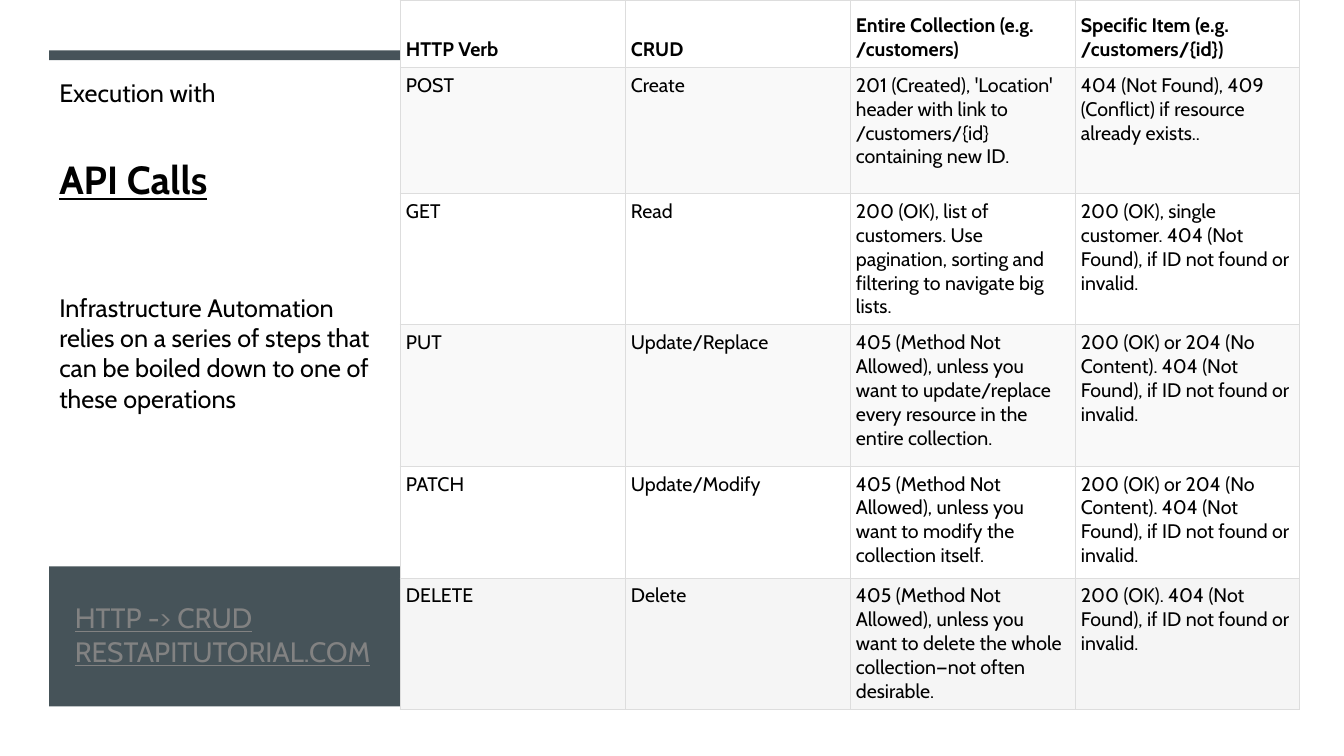
from lxml import etree
from pptx import Presentation
from pptx.dml.color import RGBColor
from pptx.enum import shapes, text
from pptx.oxml import ns
from pptx.util import Cm, Pt

SLATE = RGBColor(0x46, 0x53, 0x59)
GREY = RGBColor(0x82, 0x82, 0x82)
BLACK = RGBColor(0, 0, 0)
WHITE = RGBColor(0xFF, 0xFF, 0xFF)
PALE = RGBColor(0xF9, 0xF9, 0xF9)
MIST = RGBColor(0xF5, 0xF5, 0xF5)
RULE = RGBColor(0xDD, 0xDD, 0xDD)

HEIGHTS = [1.7, 3.18, 3.18, 3.56, 2.82, 3.18]
FILLS = [WHITE, PALE, WHITE, PALE, WHITE, MIST]
MISSING = "404 (Not Found), if ID not found or invalid."
VERBS = [
    ["HTTP Verb", "CRUD", "Entire Collection (e.g. /customers)",
     "Specific Item (e.g. /customers/{id})"],
    ["POST", "Create",
     "201 (Created), 'Location' header with link to /customers/{id} containing new ID.",
     "404 (Not Found), 409 (Conflict) if resource already exists.."],
    ["GET", "Read",
     "200 (OK), list of customers. Use pagination, sorting and filtering to navigate big lists.",
     f"200 (OK), single customer. {MISSING}"],
    ["PUT", "Update/Replace",
     "405 (Method Not Allowed), unless you want to update/replace every resource "
     "in the entire collection.",
     f"200 (OK) or 204 (No Content). {MISSING}"],
    ["PATCH", "Update/Modify",
     "405 (Method Not Allowed), unless you want to modify the collection itself.",
     f"200 (OK) or 204 (No Content). {MISSING}"],
    ["DELETE", "Delete",
     "405 (Method Not Allowed), unless you want to delete the whole "
     "collection—not often desirable.",
     f"200 (OK). {MISSING}"],
]
STEPS = [
    ("Execution with", 0, {"size": Pt(18)}),
    ("API Calls", 34, {"size": Pt(28), "bold": True, "underline": True}),
    ("Infrastructure Automation relies on a series of steps that can be "
     "boiled down to one of these operations", 64, {"size": Pt(18)}),
]


def assign(item, values):
    for key, value in values.items():
        setattr(item, key, value)


class Deck:
    face = "Cabin"

    def __init__(self):
        self.show = Presentation()
        assign(self.show, {"slide_width": Cm(33.87), "slide_height": Cm(19.05)})
        self.slide = self.show.slides.add_slide(self.show.slide_layouts[1])

    def label(self, para, words, look, color=BLACK):
        para.text = words
        para.line_spacing = 1.0
        for run in para.runs:
            assign(run.font, {"name": self.face, **look})
            run.font.color.rgb = color
        for brk in para._p.findall(ns.qn("a:br")):
            etree.SubElement(brk, ns.qn("a:rPr"), sz=str(int(look["size"].pt * 100)))

    def place(self, holder, box, anchor):
        """Move a placeholder and return its text frame."""
        assign(holder, dict(zip(("left", "top", "width", "height"), map(Cm, box))))
        frame = holder.text_frame
        assign(frame, {"word_wrap": True, "auto_size": text.MSO_AUTO_SIZE.NONE,
                       "vertical_anchor": anchor})
        return frame

    def bar(self, *box):
        """Draw a slate bar behind everything else."""
        bar = self.slide.shapes.add_shape(shapes.MSO_SHAPE.RECTANGLE, *map(Cm, box))
        bar.shadow.inherit = False
        bar.fill.solid()
        bar.fill.fore_color.rgb = SLATE
        bar.line.fill.background()
        self.slide.shapes._spTree.insert(2, bar._element)

    def title(self, words, box):
        frame = self.place(self.slide.shapes.title, box, text.MSO_ANCHOR.MIDDLE)
        para = frame.paragraphs[0]
        para.alignment = text.PP_ALIGN.LEFT
        self.label(para, words, {"size": Pt(20), "underline": True}, GREY)

    def body(self, lines, box):
        frame = self.place(self.slide.placeholders[1], box, text.MSO_ANCHOR.TOP)
        for num, (words, gap, look) in enumerate(lines):
            para = frame.add_paragraph() if num else frame.paragraphs[0]
            props = para._p.get_or_add_pPr()
            props.set("marL", "0")
            props.set("indent", "0")
            etree.SubElement(props, ns.qn("a:buNone"))
            para.space_before = Pt(gap)
            self.label(para, words, look)

    def border(self, cell):
        props = cell._tc.get_or_add_tcPr()
        for side in "LRTB":
            line = etree.SubElement(props, ns.qn(f"a:ln{side}"), w=str(Pt(0.75)))
            fill = etree.SubElement(line, ns.qn("a:solidFill"))
            etree.SubElement(fill, ns.qn("a:srgbClr"), val=str(RULE))

    def table(self, rows, heights, fills, box):
        frame = self.slide.shapes.add_table(len(rows), len(rows[0]), *map(Cm, box))
        grid = frame.table
        assign(grid, {"first_row": False, "horz_banding": False})
        sides = ("left", "right", "top", "bottom")
        inset = {f"margin_{side}": Cm(0.15) for side in sides}
        for num, (row, high, fill) in enumerate(zip(rows, heights, fills)):
            grid.rows[num].height = Cm(high)
            anchor = text.MSO_ANCHOR.TOP if num else text.MSO_ANCHOR.BOTTOM
            for col, words in enumerate(row):
                cell = grid.cell(num, col)
                assign(cell, {**inset, "vertical_anchor": anchor})
                self.border(cell)
                cell.fill.solid()
                cell.fill.fore_color.rgb = fill
                self.label(cell.text_frame.paragraphs[0], words,
                           {"size": Pt(14), "bold": num == 0})


def main():
    deck = Deck()
    deck.bar(1.24, 1.27, 10.29, 0.25)
    deck.bar(1.24, 14.27, 31.39, 3.53)
    deck.title("HTTP -> CRUD\vRESTAPITUTORIAL.COM", (1.63, 14.6, 8.46, 2.77))
    deck.table(VERBS, HEIGHTS, FILLS, (10.08, 0, 22.68, sum(HEIGHTS)))
    deck.body(STEPS, (1.24, 1.83, 8.46, 8.81))
    deck.show.save("out.pptx")


if __name__ == "__main__":
    main()
